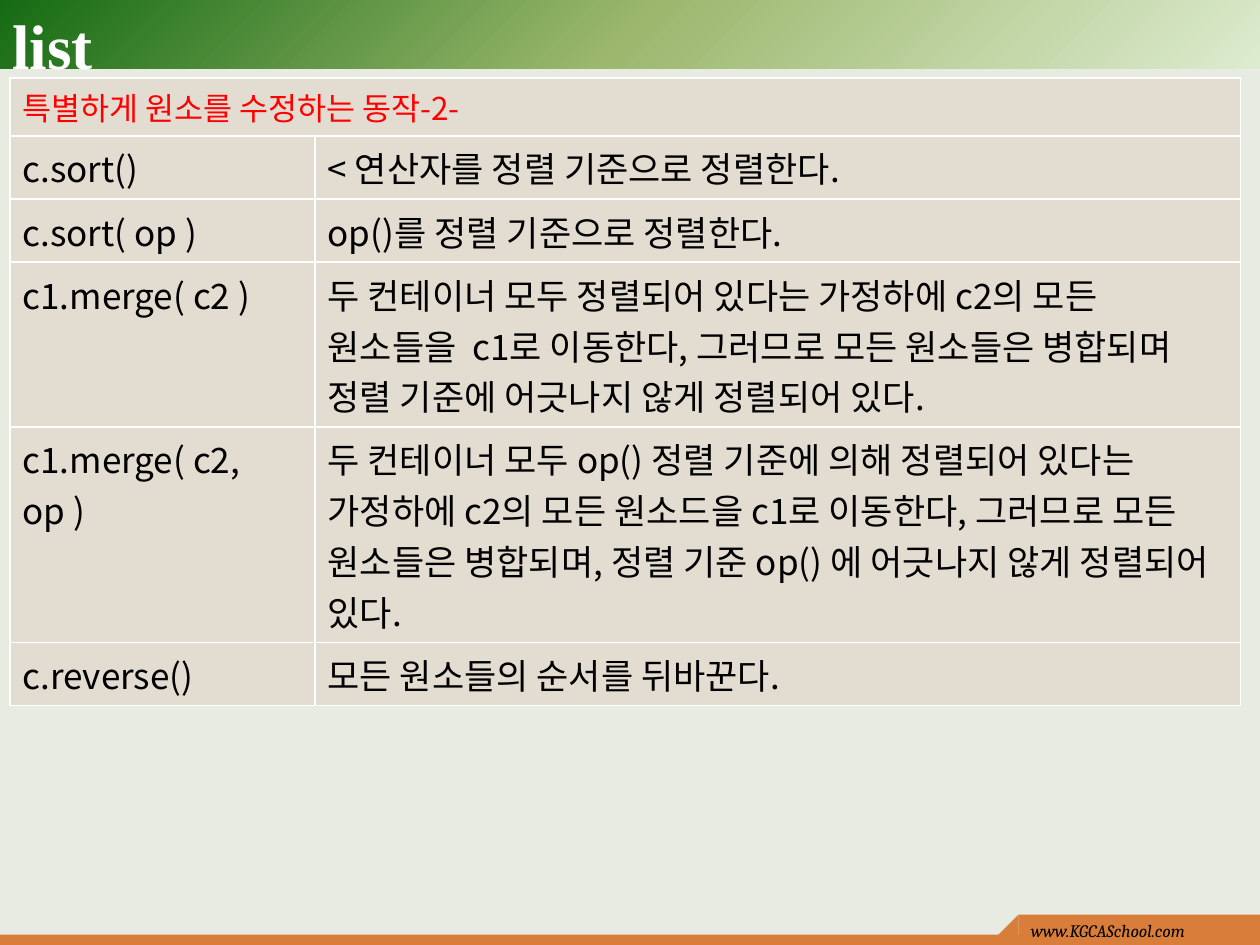
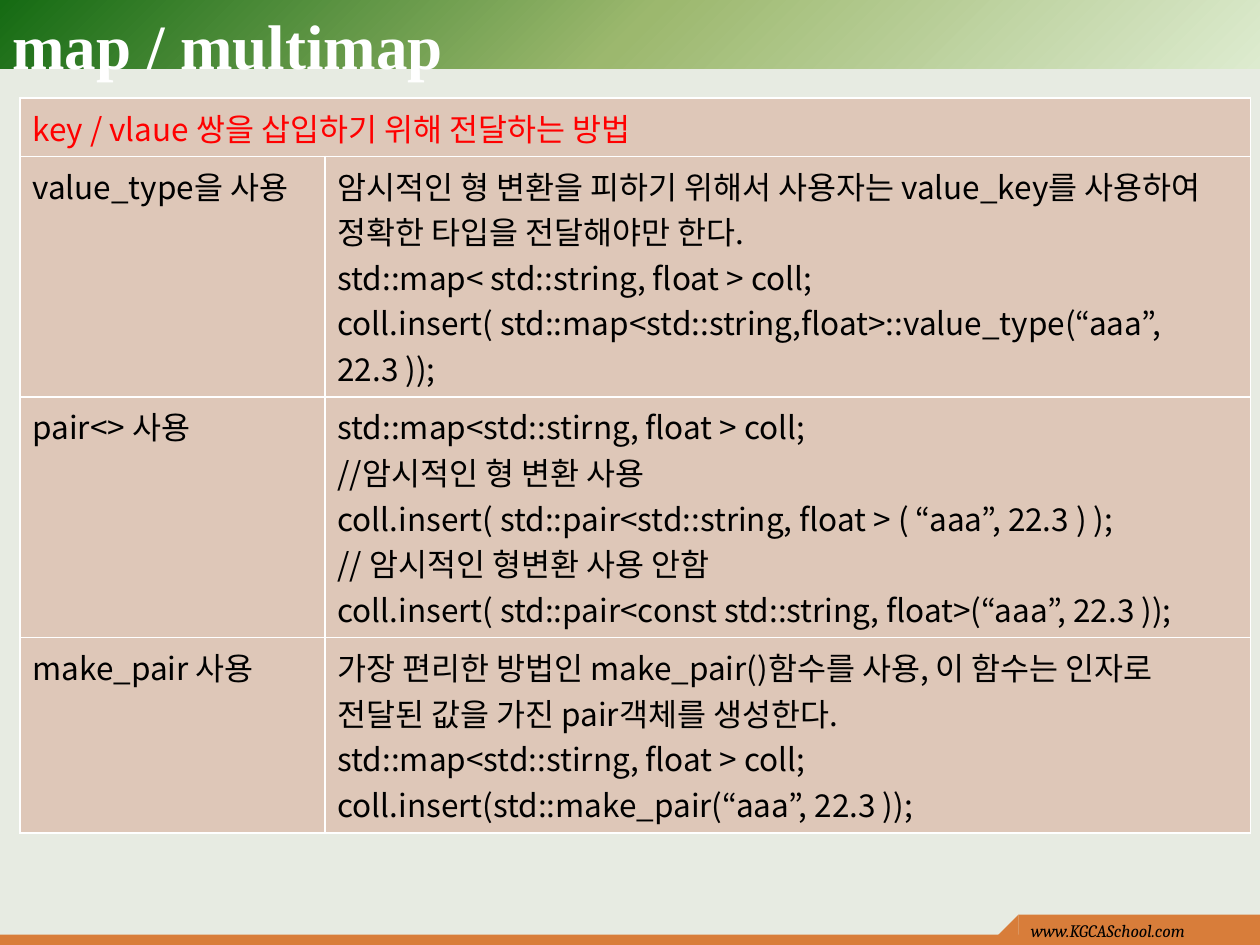
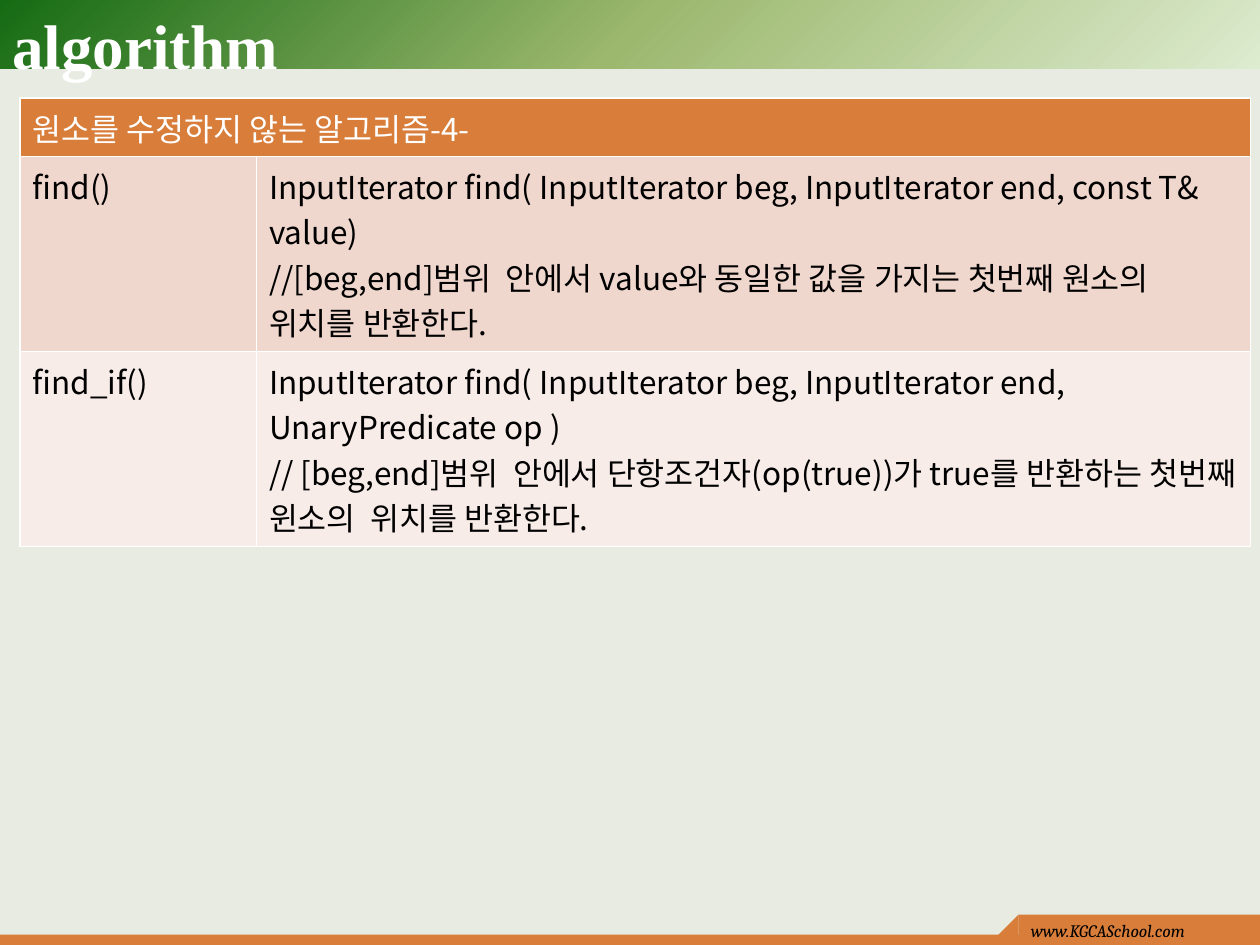
from lxml.etree import SubElement
from pptx import Presentation
from pptx.dml.color import RGBColor
from pptx.enum.shapes import MSO_SHAPE
from pptx.enum.text import MSO_ANCHOR
from pptx.oxml import parse_xml
from pptx.oxml.ns import nsdecls, qn
from pptx.util import Cm, Pt

BACKGROUND = RGBColor(0xE7, 0xEB, 0xE2)
ORANGE = RGBColor(0xD8, 0x7D, 0x3A)
SAND = RGBColor(0xDE, 0xC7, 0xB8)
ROSE = RGBColor(0xF0, 0xD7, 0xCE)
PALE_ROSE = RGBColor(0xF8, 0xEC, 0xE8)
WHITE = RGBColor(0xFF, 0xFF, 0xFF)
BLACK = RGBColor(0x00, 0x00, 0x00)
RED = RGBColor(0xFF, 0x00, 0x00)
BAND_STOPS = (
    (0, RGBColor(0xDD, 0xEB, 0xCF)),
    (50, RGBColor(0x9C, 0xB8, 0x6E)),
    (100, RGBColor(0x15, 0x6B, 0x13)),
)

TITLE_FONT = "Times New Roman"
FOOTER_FONT = "Cambria"
TABLE_FONT = "Noto Sans CJK KR"

SLIDE_WIDTH = Cm(25.4)
SLIDE_HEIGHT = Cm(19.05)
TABLE_WIDTH = Cm(24.81)
CELL_PADDING = Cm(0.25)
LINE_SPACING = 1.45
TAB_LEFT = Cm(20.53)
TAB_TOP = Cm(18.44)
TAB_HEIGHT = Cm(0.43)

# Each row holds a name, a description and the number of lines it takes.
LIST_ROWS = [
    ("c.sort()", "< 연산자를 정렬 기준으로 정렬한다.", 1),
    ("c.sort( op )", "op()를 정렬 기준으로 정렬한다.", 1),
    ("c1.merge( c2 )",
     "두 컨테이너 모두 정렬되어 있다는 가정하에 c2의 모든 원소들을  c1로 이동한다, "
     "그러므로 모든 원소들은 병합되며 정렬 기준에 어긋나지 않게 정렬되어 있다.", 3),
    ("c1.merge( c2, op )",
     "두 컨테이너 모두 op() 정렬 기준에 의해 정렬되어 있다는 가정하에 c2의 모든 원소드을 "
     "c1로 이동한다, 그러므로 모든 원소들은 병합되며, 정렬 기준 op() 에 어긋나지 않게 "
     "정렬되어 있다.", 4),
    ("c.reverse()", "모든 원소들의 순서를 뒤바꾼다.", 1),
]

MAP_ROWS = [
    ("value_type을 사용",
     "암시적인 형 변환을 피하기 위해서 사용자는 value_key를 사용하여 정확한 타입을 "
     "전달해야만 한다.\n"
     "std::map< std::string, float > coll;\n"
     "coll.insert( std::map<std::string,float>::value_type(“aaa”, 22.3 ));", 5),
    ("pair<> 사용",
     "std::map<std::stirng, float > coll;\n"
     "//암시적인 형 변환 사용\n"
     "coll.insert( std::pair<std::string, float > ( “aaa”, 22.3 ) );\n"
     "// 암시적인 형변환 사용 안함\n"
     "coll.insert( std::pair<const std::string, float>(“aaa”, 22.3 ));", 5),
    ("make_pair 사용",
     "가장 편리한 방법인 make_pair()함수를 사용, 이 함수는 인자로 전달된 값을 가진 "
     "pair객체를 생성한다.\n"
     "std::map<std::stirng, float > coll;\n"
     "coll.insert(std::make_pair(“aaa”, 22.3 ));", 4),
]

ALGORITHM_ROWS = [
    ("find()",
     "InputIterator find( InputIterator beg, InputIterator end, const T& value)\n"
     "//[beg,end]범위  안에서 value와 동일한 값을 가지는 첫번째 원소의 위치를 반환한다.", 4),
    ("find_if()",
     "InputIterator find( InputIterator beg, InputIterator end, UnaryPredicate op )\n"
     "// [beg,end]범위  안에서 단항조건자(op(true))가 true를 반환하는 첫번째 윈소의  "
     "위치를 반환한다.", 4),
]


def write_text(text_frame, text, font_name, size, color, bold=False, italic=False):
    """Write one paragraph for each line of the text."""
    text_frame.word_wrap = True
    for index, line in enumerate(text.split("\n")):
        paragraph = text_frame.add_paragraph() if index else text_frame.paragraphs[0]
        run = paragraph.add_run()
        run.text = line
        font = run.font
        font.name = font_name
        font.size = Pt(size)
        font.bold = bold
        font.italic = italic
        font.color.rgb = color


def paint(shape, color):
    shape.shadow.inherit = False
    shape.fill.solid()
    shape.fill.fore_color.rgb = color
    shape.line.fill.background()


def add_rectangle(slide, left, top, width, height, color):
    shape = slide.shapes.add_shape(MSO_SHAPE.RECTANGLE, left, top, width, height)
    paint(shape, color)
    return shape


def add_title_band(slide, title):
    band = add_rectangle(slide, 0, 0, SLIDE_WIDTH, Cm(1.39), BAND_STOPS[0][1])
    stops = "".join(
        f'<a:gs pos="{position * 1000}"><a:srgbClr val="{color}"/></a:gs>'
        for position, color in BAND_STOPS)
    gradient = parse_xml(
        f'<a:gradFill {nsdecls("a")} rotWithShape="1"><a:gsLst>{stops}</a:gsLst>'
        '<a:path path="circle"><a:fillToRect l="100000" t="100000"/></a:path>'
        '</a:gradFill>')
    properties = band._element.spPr
    properties.replace(properties.find(qn("a:solidFill")), gradient)

    text_frame = slide.shapes.add_textbox(0, 0, Cm(22.86), Cm(1.78)).text_frame
    text_frame.vertical_anchor = MSO_ANCHOR.MIDDLE
    write_text(text_frame, title, TITLE_FONT, 36, WHITE, bold=True)


def add_footer(slide):
    """Add the bottom bar and the raised tab with the web address."""
    tab_width = SLIDE_WIDTH - TAB_LEFT
    bar_top = Cm(18.84)
    add_rectangle(slide, 0, bar_top, SLIDE_WIDTH, SLIDE_HEIGHT - bar_top, ORANGE)
    add_rectangle(slide, TAB_LEFT, TAB_TOP, tab_width, TAB_HEIGHT, ORANGE)
    tab_bottom = TAB_TOP + TAB_HEIGHT
    builder = slide.shapes.build_freeform(TAB_LEFT - TAB_HEIGHT, tab_bottom)
    builder.add_line_segments([(TAB_LEFT, tab_bottom), (TAB_LEFT, TAB_TOP)])
    paint(builder.convert_to_shape(), ORANGE)

    address = slide.shapes.add_textbox(TAB_LEFT, Cm(18.42), tab_width, Cm(0.63))
    write_text(address.text_frame, "www.KGCASchool.com", FOOTER_FONT, 10, BLACK,
               italic=True)


def style_cell(cell, color, opacity):
    """Fill the cell and give it white borders."""
    cell.fill.solid()
    cell.fill.fore_color.rgb = color
    properties = cell._tc.get_or_add_tcPr()
    if opacity < 100:
        color_element = properties.find(qn("a:solidFill"))[0]
        SubElement(color_element, qn("a:alpha")).set("val", str(opacity * 1000))
    for index, side in enumerate(("lnL", "lnR", "lnT", "lnB")):
        properties.insert(index, parse_xml(
            f'<a:{side} {nsdecls("a")} w="{Pt(1)}"><a:solidFill>'
            f'<a:srgbClr val="{WHITE}"/></a:solidFill></a:{side}>'))


def row_height(line_count, size):
    return CELL_PADDING + int(line_count * Pt(size) * LINE_SPACING)


def add_function_table(slide, left, top, name_width, heading, rows, row_colors,
                       heading_fill=SAND, heading_color=RED, size=18, opacity=100):
    """Add a table with a heading across it and rows of name and description."""
    heights = [row_height(1, 18)]
    heights += [row_height(line_count, size) for *_, line_count in rows]
    frame = slide.shapes.add_table(len(heights), 2, left, top, TABLE_WIDTH,
                                   sum(heights))
    table = frame.table
    table.first_row = False
    table.horz_banding = False
    table.columns[0].width = name_width
    table.columns[1].width = TABLE_WIDTH - name_width
    for row, height in zip(table.rows, heights):
        row.height = height

    for cell in table.rows[0].cells:
        style_cell(cell, heading_fill, opacity)
    heading_cell = table.cell(0, 0)
    heading_cell.merge(table.cell(0, 1))
    write_text(heading_cell.text_frame, heading, TABLE_FONT, 18, heading_color)

    for row_index, (name, description, _) in enumerate(rows, start=1):
        color = row_colors[(row_index - 1) % len(row_colors)]
        for cell, text in zip(table.rows[row_index].cells, (name, description)):
            style_cell(cell, color, opacity)
            write_text(cell.text_frame, text, TABLE_FONT, size, BLACK)


def add_slide(presentation, title):
    slide = presentation.slides.add_slide(presentation.slide_layouts[6])
    add_title_band(slide, title)
    add_footer(slide)
    return slide


def main():
    presentation = Presentation()
    presentation.slide_width = SLIDE_WIDTH
    presentation.slide_height = SLIDE_HEIGHT
    background = presentation.slide_master.background.fill
    background.solid()
    background.fore_color.rgb = BACKGROUND

    slide = add_slide(presentation, "list")
    add_function_table(slide, Cm(0.2), Cm(1.57), Cm(6.15),
                       "특별하게 원소를 수정하는 동작-2-", LIST_ROWS, [SAND],
                       size=20, opacity=40)

    slide = add_slide(presentation, "map / multimap")
    add_function_table(slide, Cm(0.4), Cm(1.98), Cm(6.15),
                       "key / vlaue 쌍을 삽입하기 위해 전달하는 방법", MAP_ROWS, [SAND])

    slide = add_slide(presentation, "algorithm")
    add_function_table(slide, Cm(0.4), Cm(1.98), Cm(4.77),
                       "원소를 수정하지 않는 알고리즘-4-", ALGORITHM_ROWS,
                       [ROSE, PALE_ROSE], heading_fill=ORANGE, heading_color=WHITE)

    presentation.save("out.pptx")


if __name__ == "__main__":
    main()
